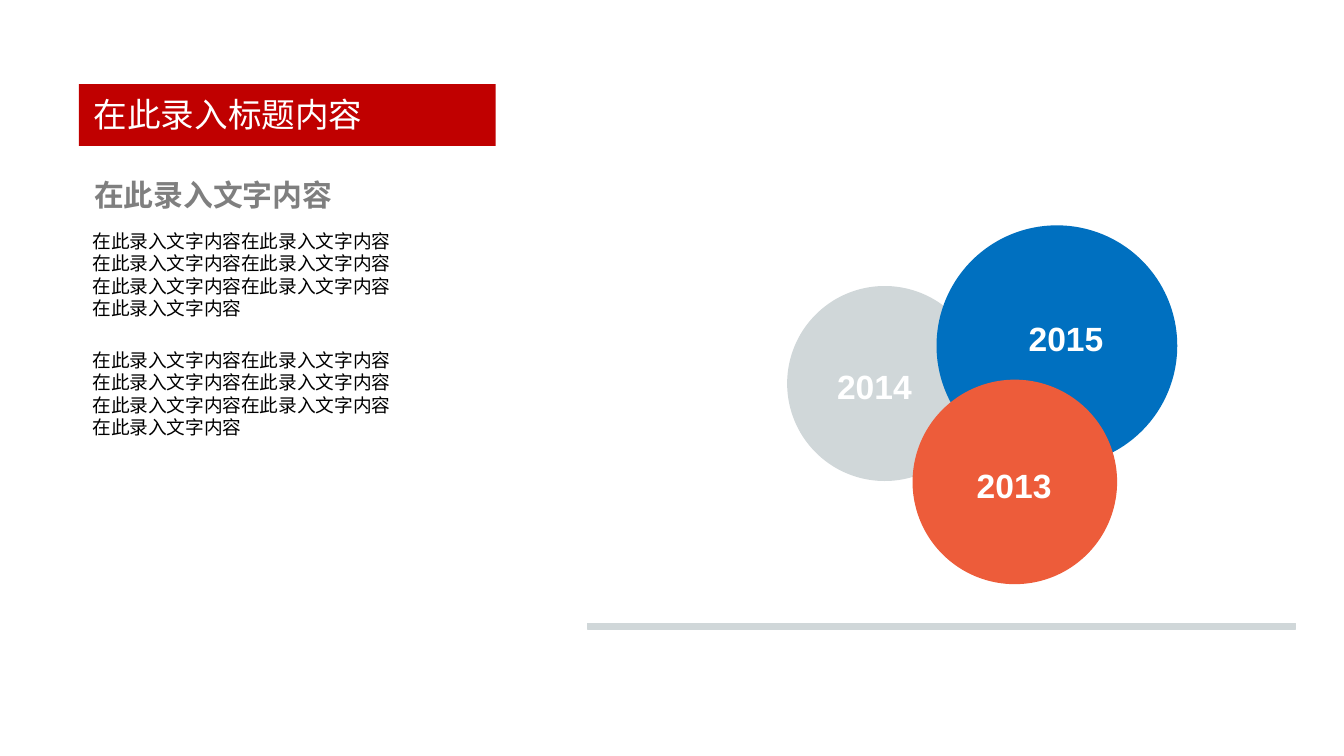
import pptx
import pptx.util
import pptx.dml.color
import pptx.enum.shapes
import pptx.enum.text
import pptx.oxml.ns
import lxml.etree

Cm = pptx.util.Cm
Pt = pptx.util.Pt
RGBColor = pptx.dml.color.RGBColor
Shape = pptx.enum.shapes.MSO_SHAPE
Anchor = pptx.enum.text.MSO_ANCHOR
AutoSize = pptx.enum.text.MSO_AUTO_SIZE

WHITE = RGBColor(0xFF, 0xFF, 0xFF)
BLACK = RGBColor(0x00, 0x00, 0x00)
GRAY = RGBColor(0x7F, 0x7F, 0x7F)
SILVER = RGBColor(0xD0, 0xD7, 0xD9)
BLUE = RGBColor(0x00, 0x70, 0xC0)
ORANGE = RGBColor(0xED, 0x5C, 0x3A)
RED = RGBColor(0xC0, 0x00, 0x00)

LATIN_FONT = "Arial"
CHINESE_FONT = "Noto Sans CJK SC"
YEAR = {"name": LATIN_FONT, "size": Pt(18), "bold": True}
TITLE = {"name": CHINESE_FONT, "size": Pt(18), "bold": False}
SUBTITLE = {"name": CHINESE_FONT, "size": Pt(16), "bold": True}
BODY = {"name": CHINESE_FONT, "size": Pt(10), "bold": False}

PHRASE = "在此录入文字内容"
BODY_LINES = [PHRASE * 2] * 3 + [PHRASE]


def add_filled_shape(slide, kind, left, top, width, height, color, outlined=False):
    shape = slide.shapes.add_shape(kind, Cm(left), Cm(top), Cm(width), Cm(height))
    shape.shadow.inherit = False
    shape.fill.solid()
    shape.fill.fore_color.rgb = color
    if outlined:
        shape.line.color.rgb = color
        shape.line.width = Pt(0)
    else:
        shape.line.fill.background()


def add_circle(slide, left, top, diameter, color, outlined=False):
    add_filled_shape(slide, Shape.OVAL, left, top, diameter, diameter, color, outlined)


def format_run(run, values, color):
    for attribute, value in values.items():
        setattr(run.font, attribute, value)
    run.font.color.rgb = color
    if values["name"] == CHINESE_FONT:
        properties = run._r.get_or_add_rPr()
        east_asian = lxml.etree.SubElement(properties, pptx.oxml.ns.qn("a:ea"))
        east_asian.set("typeface", CHINESE_FONT)


def add_text(slide, left, top, width, height, lines, values, color,
             wrap=True, anchor=Anchor.TOP):
    box = slide.shapes.add_textbox(Cm(left), Cm(top), Cm(width), Cm(height))
    frame = box.text_frame
    frame.word_wrap = wrap
    frame.auto_size = AutoSize.SHAPE_TO_FIT_TEXT
    frame.vertical_anchor = anchor
    for index, line in enumerate(lines):
        paragraph = frame.paragraphs[0] if index == 0 else frame.add_paragraph()
        if values["name"] == CHINESE_FONT:
            paragraph.line_spacing = Pt(values["size"].pt * 1.2)
        run = paragraph.add_run()
        run.text = line
        format_run(run, values, color)


def main():
    presentation = pptx.Presentation()
    presentation.slide_width = Cm(25.4)
    presentation.slide_height = Cm(14.29)
    slide = presentation.slides.add_slide(presentation.slide_layouts[6])

    add_circle(slide, 14.89, 5.42, 3.66, SILVER, outlined=True)
    add_filled_shape(slide, Shape.RECTANGLE, 11.1, 11.79, 13.39, 0.1, SILVER,
                     outlined=True)
    add_circle(slide, 17.7, 4.26, 4.55, BLUE)
    add_circle(slide, 17.26, 7.19, 3.84, ORANGE, outlined=True)
    for year, left, top in [("2014", 15.57, 6.79), ("2013", 18.21, 8.66),
                            ("2015", 19.19, 5.88)]:
        add_text(slide, left, top, 1.95, 1.02, [year], YEAR, WHITE, wrap=False)

    add_filled_shape(slide, Shape.RECTANGLE, 1.49, 1.59, 7.88, 1.17, RED)
    add_text(slide, 1.52, 1.65, 6.81, 1.02, ["在此录入标题内容"], TITLE, WHITE)
    add_text(slide, 1.53, 3.2, 5.06, 0.94, [PHRASE], SUBTITLE, GRAY,
             wrap=False, anchor=Anchor.MIDDLE)
    for top in (4.22, 6.47):
        add_text(slide, 1.5, top, 6.81, 1.96, BODY_LINES, BODY, BLACK)

    presentation.save("out.pptx")


if __name__ == "__main__":
    main()
